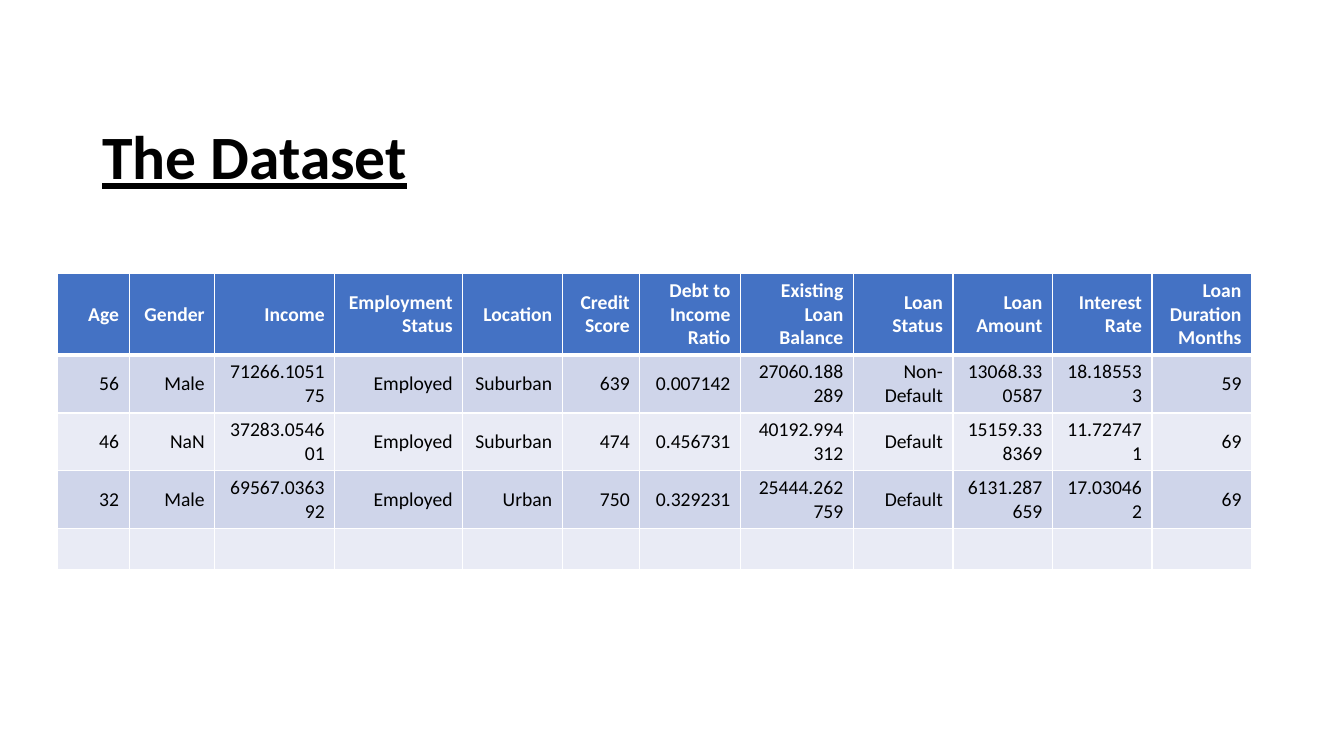
from lxml import etree
from pptx import Presentation
from pptx import util as u
from pptx.dml.color import RGBColor
from pptx.enum import text
from pptx.oxml.ns import qn

Pt = u.Pt
FONT = "Calibri"
WHITE, BLACK = "FFFFFF", "000000"
HEADER_FILL, BAND_FILLS = "4472C4", ("CFD5EA", "E9EBF5")

COL_WIDTHS = [51.1, 61.2, 85.7, 91.4, 71.1, 55.4, 72, 80.6] + [71.1] * 4
ROW_HEIGHTS = [58.2, 41.4, 41.4, 41.4, 29.2]
ROWS = [
    ["Age", "Gender", "Income", "Employment\nStatus", "Location", "Credit Score",
     "Debt to Income Ratio", "Existing Loan Balance", "Loan Status",
     "Loan Amount", "Interest Rate", "Loan Duration Months"],
    ["56", "Male", "71266.105175", "Employed", "Suburban", "639", "0.007142",
     "27060.188289", "Non-Default", "13068.330587", "18.185533", "59"],
    ["46", "NaN", "37283.054601", "Employed", "Suburban", "474", "0.456731",
     "40192.994312", "Default", "15159.338369", "11.727471", "69"],
    ["32", "Male", "69567.036392", "Employed", "Urban", "750", "0.329231",
     "25444.262759", "Default", "6131.287659", "17.030462", "69"],
    [""] * 12,
]


def color(value):
    return RGBColor.from_string(value)


def set_font(p, size, value, bold):
    f = p.font
    f.name, f.size, f.bold = FONT, Pt(size), bold
    f.color.rgb = color(value)


def add_title(s, words):
    tf = s.shapes.add_textbox(Pt(66), Pt(62), Pt(828), Pt(104.4)).text_frame
    tf.word_wrap = True
    tf.vertical_anchor = text.MSO_ANCHOR.MIDDLE
    p = tf.paragraphs[0]
    p.text = words
    p.line_spacing = 0.9
    set_font(p, 44, BLACK, True)
    p.font.underline = True


def set_borders(cell, widths):
    tc_pr = cell._tc.get_or_add_tcPr()
    for side, width in zip("LRTB", widths):
        ln = etree.SubElement(tc_pr, qn(f"a:ln{side}"), w=str(Pt(width)))
        fill = etree.SubElement(ln, qn("a:solidFill"))
        etree.SubElement(fill, qn("a:srgbClr"), val=WHITE)


def fill_cell(cell, words, row):
    header = row == 0
    # Borders go before the fill in the cell properties
    set_borders(cell, (1, 1, 3 if row == 1 else 1, 3 if header else 1))
    cell.fill.solid()
    cell.fill.fore_color.rgb = color(HEADER_FILL if header else BAND_FILLS[(row - 1) % 2])
    cell.vertical_anchor = text.MSO_ANCHOR.MIDDLE
    cell.text = words
    for p in cell.text_frame.paragraphs:
        p.alignment = text.PP_ALIGN.RIGHT
        set_font(p, 14, WHITE if header else BLACK, header)


def add_data_table(s):
    frame = s.shapes.add_table(len(ROWS), len(COL_WIDTHS), Pt(41.2), Pt(195.4),
                               Pt(sum(COL_WIDTHS)), Pt(sum(ROW_HEIGHTS)))
    table = frame.table
    for column, width in zip(table.columns, COL_WIDTHS):
        column.width = Pt(width)
    for i, (height, values) in enumerate(zip(ROW_HEIGHTS, ROWS)):
        table.rows[i].height = Pt(height)
        for j, words in enumerate(values):
            fill_cell(table.cell(i, j), words, i)


def main():
    prs = Presentation()
    prs.slide_width, prs.slide_height = Pt(960), Pt(540)
    s = prs.slides.add_slide(prs.slide_layouts[6])
    # Heading
    add_title(s, "The Dataset")
    # Sample rows of the loan data
    add_data_table(s)
    prs.save("out.pptx")


if __name__ == "__main__":
    main()
